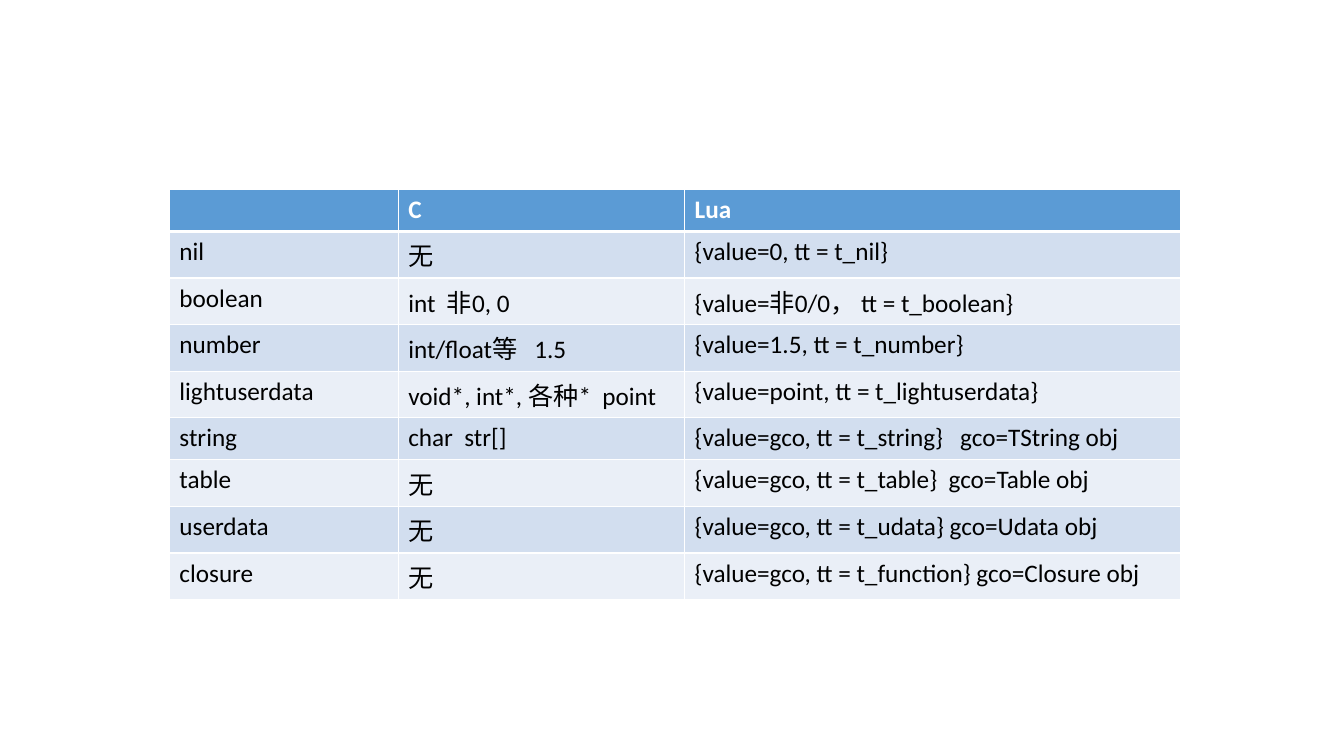
from lxml import etree
from pptx import Presentation
from pptx.dml.color import RGBColor
from pptx.oxml.ns import qn
from pptx.util import Inches, Pt

COLORS = {"head": "5B9BD5", "odd": "D2DEEF", "even": "EAEFF7",
          "line": "FFFFFF", "light": "FFFFFF", "dark": "000000"}
ROWS = [
    ("", "C", "Lua"),
    ("nil", "无", "{value=0, tt = t_nil}"),
    ("boolean", "int  非0, 0", "{value=非0/0， tt = t_boolean}"),
    ("number", "int/float等   1.5", "{value=1.5, tt = t_number}"),
    ("lightuserdata", "void*, int*, 各种*  point", "{value=point, tt = t_lightuserdata}"),
    ("string", "char  str[]", "{value=gco, tt = t_string}   gco=TString obj"),
    ("table", "无", "{value=gco, tt = t_table}  gco=Table obj"),
    ("userdata", "无", "{value=gco, tt = t_udata} gco=Udata obj"),
    ("closure", "无", "{value=gco, tt = t_function} gco=Closure obj"),
]
WIDTHS = [2.27, 2.84, 4.92]
HEIGHT = 3.75


def add_edges(cell, sides):
    props = cell._tc.get_or_add_tcPr()
    for spot, (side, width) in enumerate(sides.items()):
        line = etree.Element(qn("a:ln" + side), w=str(Pt(width)))
        fill = etree.SubElement(line, qn("a:solidFill"))
        etree.SubElement(fill, qn("a:srgbClr"), val=COLORS["line"])
        props.insert(spot, line)


deck = Presentation()
deck.slide_width, deck.slide_height = Inches(13.33), Inches(7.5)
slide = deck.slides.add_slide(deck.slide_layouts[6])

frame = slide.shapes.add_table(len(ROWS), len(WIDTHS), Inches(1.68), Inches(1.88),
                               Inches(sum(WIDTHS)), Inches(HEIGHT))
table = frame.table
for column, width in zip(table.columns, WIDTHS):
    column.width = Inches(width)

for r, values in enumerate(ROWS):
    head = r == 0
    shade = "head" if head else "odd" if r % 2 else "even"
    table.rows[r].height = Inches(HEIGHT / len(ROWS))
    for c, value in enumerate(values):
        cell = table.cell(r, c)
        cell.text = value
        cell.fill.solid()
        cell.fill.fore_color.rgb = RGBColor.from_string(COLORS[shade])
        add_edges(cell, {"L": 1, "R": 1, "T": 3 if r == 1 else 1, "B": 3 if head else 1})
        font = cell.text_frame.paragraphs[0].font
        font.name, font.size, font.bold = "Calibri", Pt(18), head
        font.color.rgb = RGBColor.from_string(COLORS["light" if head else "dark"])

deck.save("out.pptx")
